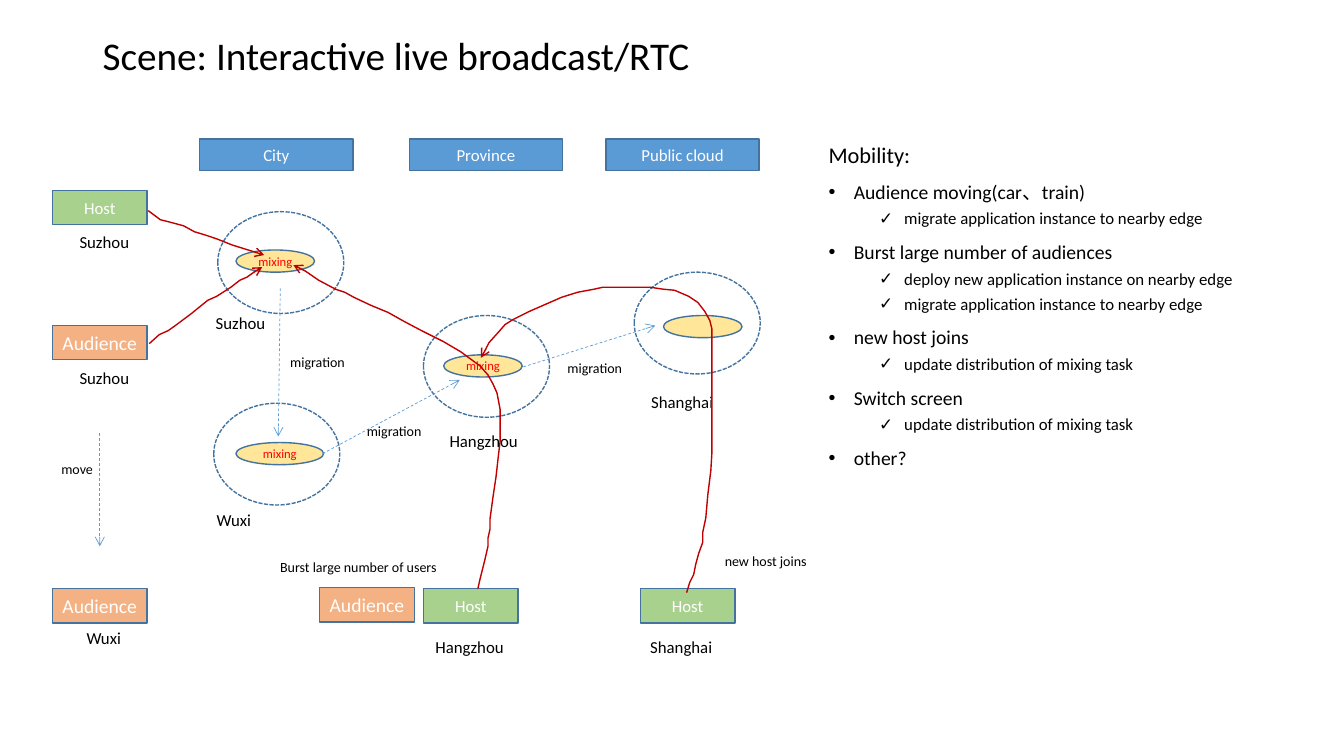
import pptx
import pptx.util
import pptx.dml.color
import pptx.enum.dml
import pptx.enum.shapes
import pptx.enum.text
import pptx.oxml.ns
import lxml.etree

Inches, Pt = pptx.util.Inches, pptx.util.Pt
Shape = pptx.enum.shapes.MSO_SHAPE
Dash = pptx.enum.dml.MSO_LINE
Align, Anchor = pptx.enum.text.PP_ALIGN, pptx.enum.text.MSO_ANCHOR
qn = pptx.oxml.ns.qn

BLUE, EDGE, RED = "5B9BD5", "43739E", "C00000"
GREEN, PEACH, CREAM = "A9D18E", "F4B183", "FFE699"


def rgb(code):
    return pptx.dml.color.RGBColor.from_string(code)


def style(para, size, color="000000"):
    for run in para.runs:
        run.font.name, run.font.size = "Calibri", Pt(size)
        run.font.color.rgb = rgb(color)


def label(slide, x, y, w, h, text, size, wrap=True):
    box = slide.shapes.add_textbox(Inches(x), Inches(y), Inches(w), Inches(h))
    frame = box.text_frame
    frame.word_wrap = wrap
    frame.text = text
    style(frame.paragraphs[0], size)
    return frame


def node(slide, kind, x, y, w, h, fill=None, text="", size=12, color="FFFFFF"):
    item = slide.shapes.add_shape(kind, Inches(x), Inches(y), Inches(w), Inches(h))
    item.shadow.inherit = False
    item.line.color.rgb, item.line.width = rgb(EDGE), Pt(1)
    if fill:
        item.fill.solid()
        item.fill.fore_color.rgb = rgb(fill)
    else:
        item.fill.background()
        item.line.dash_style = Dash.SQUARE_DOT
    if text:
        frame = item.text_frame
        frame.margin_left = frame.margin_right = 0
        frame.margin_top = frame.margin_bottom = 0
        frame.word_wrap = False
        frame.vertical_anchor = Anchor.MIDDLE
        frame.text = text
        frame.paragraphs[0].alignment = Align.CENTER
        style(frame.paragraphs[0], size, color)


def tip(item):
    tail = lxml.etree.SubElement(item.line._get_or_add_ln(), qn("a:tailEnd"))
    tail.set("type", "arrow")


def arrow(slide, x1, y1, x2, y2):
    link = slide.shapes.add_connector(
        pptx.enum.shapes.MSO_CONNECTOR.STRAIGHT,
        Inches(x1), Inches(y1), Inches(x2), Inches(y2))
    link.line.color.rgb, link.line.width = rgb(BLUE), Pt(0.5)
    link.line.dash_style = Dash.DASH
    tip(link)
    lxml.etree.SubElement(link._element.spPr, qn("a:effectLst"))


def trail(slide, left, top, points):
    points = [(Inches(left + x), Inches(top + y)) for x, y in points]
    pen = slide.shapes.build_freeform(*points[0])
    pen.add_line_segments(points[1:], close=False)
    item = pen.convert_to_shape()
    item.shadow.inherit = False
    item.fill.background()
    item.line.color.rgb, item.line.width = rgb(RED), Pt(1)
    tip(item)


def title(slide, x, y, w, h):
    frame = label(slide, x, y, w, h, "Scene: Interactive live broadcast/RTC", 28)
    frame.vertical_anchor = Anchor.MIDDLE
    frame.paragraphs[0].line_spacing = 0.9


def scene(slide, left, top):
    # Tier headings
    for x, text in ((1.48, "City"), (3.56, "Province"), (5.51, "Public cloud")):
        node(slide, Shape.RECTANGLE, left + x, top + 0.38, 1.52, 0.31, BLUE, text)

    # Site outlines
    for x, y in ((1.66, 1.1), (1.62, 3), (3.7, 2.13), (5.79, 1.7)):
        node(slide, Shape.OVAL, left + x, top + y, 1.25, 1.01)

    # Hosts and audiences
    for x, y, text in ((0.02, 0.89, "Host"), (3.7, 4.84, "Host"),
                       (5.85, 4.84, "Host"), (0.02, 2.23, "Audience"),
                       (0.02, 4.84, "Audience"), (2.67, 4.83, "Audience")):
        fill, size = (GREEN, 12) if text == "Host" else (PEACH, 14)
        node(slide, Shape.RECTANGLE, left + x, top + y, 0.94, 0.34, fill, text, size)

    # Mixing instances
    for x, y, w, text in ((1.84, 1.48, 0.78, "mixing"), (1.84, 3.39, 0.87, "mixing"),
                          (3.9, 2.52, 0.78, "mixing"), (6.08, 2.13, 0.78, "")):
        node(slide, Shape.OVAL, left + x, top + y, w, 0.22, CREAM, text, 9, "FF0000")

    # Moves and migrations
    for x1, y1, x2, y2 in ((0.49, 3.3, 0.49, 4.42), (2.28, 1.86, 2.26, 3.33),
                           (2.7, 3.5, 4.06, 2.77), (4.69, 2.64, 6, 2.23)):
        arrow(slide, left + x1, top + y1, left + x2, top + y2)

    # Place names
    for x, y, text in ((0.19, 1.25, "Suzhou"), (0.19, 2.6, "Suzhou"),
                       (0.26, 5.18, "Wuxi"), (3.72, 5.27, "Hangzhou"),
                       (5.85, 5.27, "Shanghai"), (1.54, 2.05, "Suzhou"),
                       (1.55, 4.01, "Wuxi"), (3.86, 3.22, "Hangzhou"),
                       (5.86, 2.84, "Shanghai")):
        label(slide, left + x, top + y, 0.92, 0.3, text, 12, False)

    # Event names
    for x, y, w, text in ((0.01, 3.52, 0.82, "move"), (2.28, 2.46, 0.82, "migration"),
                          (3.04, 3.14, 0.82, "migration"),
                          (5.03, 2.52, 0.82, "migration"),
                          (6.59, 4.43, 1.29, "new host joins"),
                          (2.18, 4.49, 1.81, "Burst large number of users")):
        label(slide, left + x, top + y, w, 0.27, text, 10, False)

    # Media streams: Hangzhou host, Suzhou host, Suzhou audience, Shanghai host
    streams = (
        ((4.24, 4.84), (4.26, 4.75), (4.31, 4.55), (4.34, 4.42), (4.34, 4.34),
         (4.36, 4.25), (4.36, 4.15), (4.39, 3.93), (4.42, 3.73), (4.44, 3.55),
         (4.46, 3.38), (4.46, 3.06), (4.43, 2.9), (4.39, 2.81), (4.34, 2.72),
         (4.26, 2.63), (4.07, 2.49), (3.9, 2.39), (3.7, 2.29), (3.51, 2.19),
         (3.35, 2.1), (3.18, 2.03), (3.01, 1.95), (2.92, 1.9), (2.83, 1.87),
         (2.66, 1.78), (2.53, 1.69), (2.41, 1.63)),
        ((0.97, 1.09), (1.09, 1.18), (1.17, 1.2), (1.32, 1.24), (1.43, 1.3),
         (1.53, 1.33), (1.65, 1.37), (1.8, 1.43), (1.96, 1.48), (2.12, 1.53)),
        ((0.98, 2.41), (1.08, 2.32), (1.17, 2.28), (1.24, 2.23), (1.32, 2.17),
         (1.4, 2.11), (1.56, 1.98), (1.65, 1.94), (1.79, 1.85), (1.88, 1.78),
         (1.95, 1.75), (2.02, 1.7), (2.1, 1.65)),
        ((6.31, 4.88), (6.34, 4.78), (6.38, 4.7), (6.4, 4.6), (6.43, 4.49),
         (6.47, 4.38), (6.47, 4.28), (6.5, 4.14), (6.52, 3.91), (6.55, 3.67),
         (6.56, 3.5), (6.56, 2.26), (6.54, 2.18), (6.49, 2.09), (6.42, 2),
         (6.33, 1.94), (6.19, 1.88), (6.08, 1.87), (5.95, 1.85), (5.48, 1.85),
         (5.39, 1.87), (5.23, 1.9), (5.07, 1.95), (4.91, 2.02), (4.75, 2.09),
         (4.59, 2.17), (4.51, 2.22), (4.44, 2.3), (4.35, 2.4), (4.31, 2.48),
         (4.27, 2.55)),
    )
    for points in streams:
        trail(slide, left, top, points)


def notes(slide, x, y, w, h):
    near = "migrate application instance to nearby edge"
    task = "update distribution of mixing task"
    topics = (
        ("Audience moving(car\u3001train)", (near,)),
        ("Burst large number of audiences",
         ("deploy new application instance on nearby edge", near)),
        ("new host joins", (task,)),
        ("Switch screen", (task,)),
        ("other?", ()),
    )
    frame = label(slide, x, y, w, h, "Mobility:", 16)
    head = frame.paragraphs[0]
    head.line_spacing, head.space_before = 0.9, Pt(10)

    def point(text, level):
        # Size, space before, indent, mark and its font for each level
        size, gap, indent, mark, face = (
            (14, 10, 0.25, "\u2022", "Arial"),
            (12, 5, 0.75, "\u2713", "Calibri"))[level]
        para = frame.add_paragraph()
        para.text, para.level = text, level
        para.line_spacing, para.space_before = 0.9, Pt(gap)
        style(para, size)
        props = para._p.get_or_add_pPr()
        props.set("marL", str(Inches(indent)))
        props.set("indent", str(-Inches(0.25)))
        lxml.etree.SubElement(props, qn("a:buFont")).set("typeface", face)
        lxml.etree.SubElement(props, qn("a:buChar")).set("char", mark)

    for topic, steps in topics:
        point(topic, 0)
        for step in steps:
            point(step, 1)


deck = pptx.Presentation()
deck.slide_width, deck.slide_height = Inches(13.33), Inches(7.5)
slide = deck.slides.add_slide(deck.slide_layouts[6])
title(slide, 0.92, 0.39, 11.5, 0.36)
scene(slide, 0.5, 1)
notes(slide, 8.12, 1.38, 4.3, 5.37)
deck.save("out.pptx")
